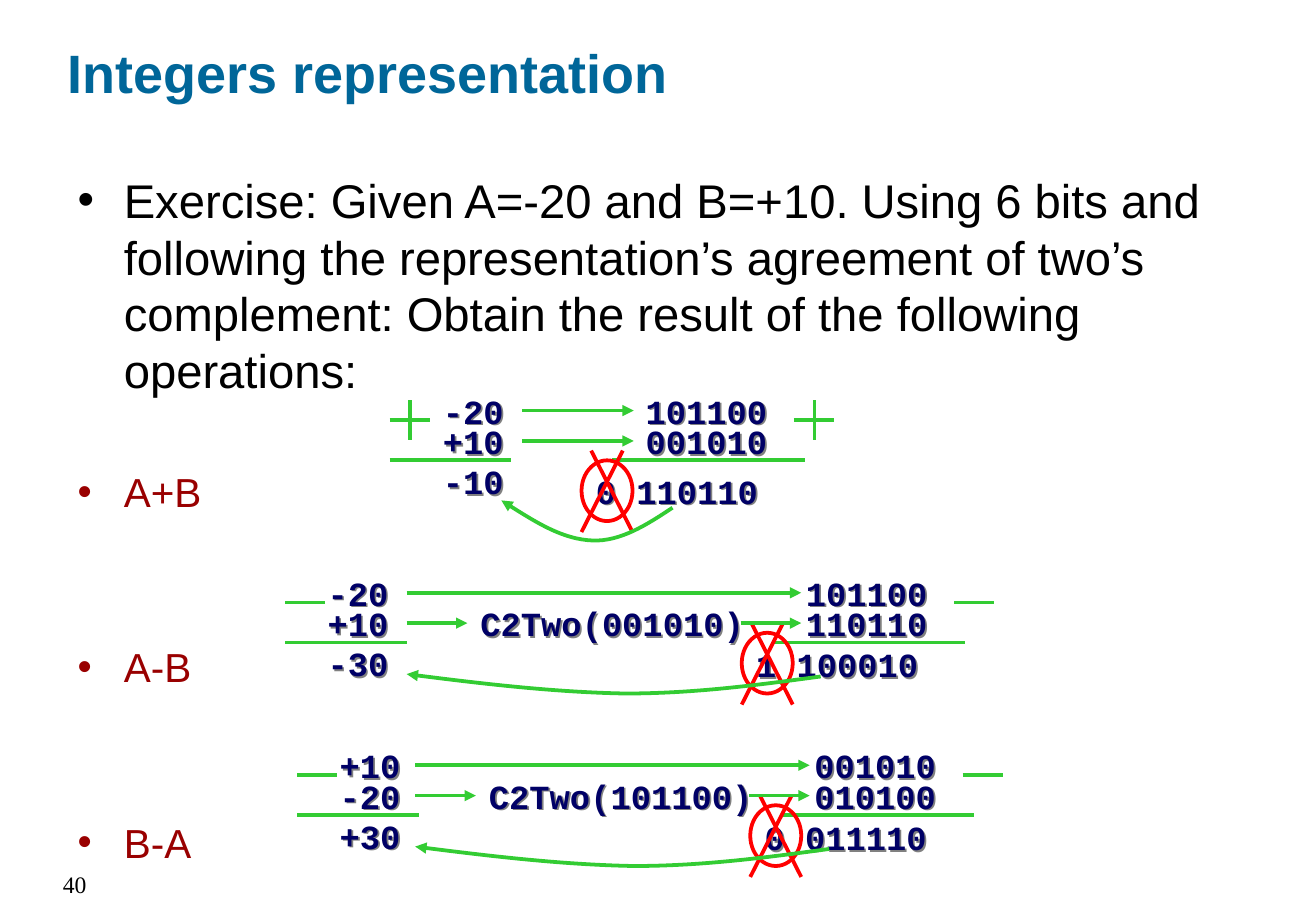
from dataclasses import dataclass

from lxml.etree import SubElement
from pptx import Presentation
from pptx.dml.color import RGBColor
from pptx.enum.shapes import MSO_CONNECTOR, MSO_SHAPE
from pptx.enum.text import MSO_ANCHOR, MSO_AUTO_SIZE, PP_ALIGN
from pptx.oxml.ns import qn
from pptx.util import Inches, Pt


@dataclass(frozen=True)
class Theme:
    """Hold the colours, fonts and sizes of the slide."""
    title: str = "006699"
    black: str = "000000"
    item: str = "990000"
    digit: str = "000066"
    shade: str = "808080"
    green: str = "33CC33"
    red: str = "FF0000"
    sans: str = "Arial"
    mono: str = "Courier New"
    serif: str = "Times New Roman"
    head: int = 32
    lead: int = 28
    list: int = 24
    code: int = 20
    page: int = 14
    line: float = 2.25


THEME = Theme()
SUM_CURVE = [(.32, 1.02), (.11, 1.16), (-.11, 1.3), (-.34, 1.29),
             (-.58, 1.28), (-.84, 1.12), (-1.09, .96)]
LESS_CURVE = [(.22, .91), (-.3, .98), (-.82, 1.05), (-1.39, 1.05),
              (-1.95, 1.04), (-2.57, .97), (-3.19, .89)]


def place(shape, x, y, w, h):
    """Move and size a shape in inches."""
    shape.left, shape.top = Inches(x), Inches(y)
    shape.width, shape.height = Inches(w), Inches(h)


def add_run(para, text, size, font, color, bold=False):
    """Add one formatted run to a paragraph."""
    run = para.add_run()
    run.text = text
    run.font.size, run.font.name, run.font.bold = Pt(size), font, bold
    run.font.color.rgb = RGBColor.from_string(color)


def add_title(slide, text):
    """Fill the title placeholder."""
    title = slide.shapes.title
    place(title, .46, .28, 9.06, .63)
    frame = title.text_frame
    frame.auto_size = MSO_AUTO_SIZE.NONE
    frame.vertical_anchor = MSO_ANCHOR.BOTTOM
    para = frame.paragraphs[0]
    para.alignment = PP_ALIGN.LEFT
    add_run(para, text, THEME.head, THEME.sans, THEME.title, True)


def add_list(slide, items):
    """Fill the body placeholder with bullets."""
    body = slide.placeholders[1]
    place(body, .54, 1.36, 9.6, 6.1)
    frame = body.text_frame
    frame.auto_size = MSO_AUTO_SIZE.NONE
    frame.vertical_anchor = MSO_ANCHOR.TOP
    for i, (text, size, color, gap) in enumerate(items):
        para = frame.add_paragraph() if i else frame.paragraphs[0]
        props = para._p.get_or_add_pPr()
        props.set("marL", str(Inches(.38)))
        props.set("indent", str(-Inches(.38)))
        tint = SubElement(props, qn("a:buClr"))
        SubElement(tint, qn("a:srgbClr"), val=color)
        SubElement(props, qn("a:buFont"), typeface=THEME.sans)
        SubElement(props, qn("a:buChar"), char="•")
        para.space_before, para.line_spacing = Pt(gap), 1.0
        add_run(para, text, size, THEME.sans, color)


def add_page(slide, text):
    """Add the page number."""
    box = slide.shapes.add_textbox(Inches(0), Inches(7.11), Inches(.81), Inches(.39))
    box.text_frame.word_wrap = True
    para = box.text_frame.paragraphs[0]
    para.alignment = PP_ALIGN.RIGHT
    add_run(para, text, THEME.page, THEME.serif, THEME.black)


def add_code(slide, text, x, y):
    """Add a shadowed line of code digits."""
    width = .22 + len(text) / 6
    box = slide.shapes.add_textbox(Inches(x), Inches(y), Inches(width), Inches(.44))
    frame = box.text_frame
    frame.word_wrap = False
    frame.auto_size = MSO_AUTO_SIZE.SHAPE_TO_FIT_TEXT
    frame.vertical_anchor = MSO_ANCHOR.MIDDLE
    add_run(frame.paragraphs[0], text, THEME.code, THEME.mono, THEME.digit, True)
    effects = SubElement(box._element.spPr, qn("a:effectLst"))
    shadow = SubElement(effects, qn("a:outerShdw"), dist=str(Pt(1.4)), dir="2700000")
    SubElement(shadow, qn("a:srgbClr"), val=THEME.shade)
    return box


def draw_line(shape, color, arrow=False):
    """Set the line of a shape, with an arrow at its end if asked."""
    shape.line.width = Pt(THEME.line)
    shape.line.color.rgb = RGBColor.from_string(color)
    if arrow:
        SubElement(shape._element.spPr.find(qn("a:ln")), qn("a:tailEnd"), type="triangle")


def add_line(slide, x1, y1, x2, y2, color=THEME.green, arrow=False):
    """Add a straight line or arrow."""
    line = slide.shapes.add_connector(
        MSO_CONNECTOR.STRAIGHT, Inches(x1), Inches(y1), Inches(x2), Inches(y2))
    draw_line(line, color, arrow)
    SubElement(line._element.spPr, qn("a:effectLst"))
    return line


def add_curve(slide, x, y, points):
    """Add a curved arrow through cubic points set off from x, y."""
    spots = [(Inches(x + dx), Inches(y + dy)) for dx, dy in points]
    pen = slide.shapes.build_freeform(*spots[0])
    pen.add_line_segments(spots[1:], close=False)
    curve = pen.convert_to_shape()
    steps = list(curve._element.iter(qn("a:lnTo")))
    for i in range(0, len(steps), 3):
        bend = SubElement(steps[i].getparent(), qn("a:cubicBezTo"))
        for step in steps[i:i + 3]:
            bend.append(step[0])
            step.getparent().remove(step)
    curve.fill.background()
    curve.shadow.inherit = False
    draw_line(curve, THEME.green, True)


def add_sign(slide, x, y, plus):
    """Add a plus or minus sign made of lines."""
    add_line(slide, x, y, x + .33, y)
    if plus:
        add_line(slide, x + .17, y + .16, x + .17, y - .17)


def add_cross(slide, x, y):
    """Ring a carry bit and cross it out."""
    ring = slide.shapes.add_shape(
        MSO_SHAPE.OVAL, Inches(x), Inches(y), Inches(.42), Inches(.5))
    ring.fill.background()
    ring.shadow.inherit = False
    draw_line(ring, THEME.red)
    for foot, top in ((0, .34), (.42, .08)):
        add_line(slide, x + foot, y + .59, x + top, y - .08, THEME.red)


def add_left(slide, x, y, inset, terms, plus):
    """Add the decimal column with its sign and rule."""
    for text, drop in zip(terms, (0, .25, .58)):
        add_code(slide, text, x + inset, y + drop)
    add_line(slide, x, y + .63, x + 1, y + .63)
    add_sign(slide, x, y + .3, plus)


def add_right(slide, x, y, terms, drop, ring, plus):
    """Add the binary column and return its two term boxes."""
    boxes = [add_code(slide, text, x, y + .25 * i) for i, text in enumerate(terms[:2])]
    add_line(slide, x - .18, y + .63, x + 1.41, y + .63)
    add_sign(slide, x + 1.32, y + .3, plus)
    add_code(slide, terms[2], x - .41, y + drop)
    add_cross(slide, x - .43, y + ring)
    return boxes


def add_sum(slide, left, right, y, tens, bits):
    """Add a worked sum."""
    add_left(slide, left, y, .34, tens, True)
    boxes = add_right(slide, right, y, bits, .66, .63, True)
    for i, box in enumerate(boxes):
        level = y + .22 + .25 * i
        add_line(slide, 4.3, level, right, level, arrow=True).end_connect(box, 1)
    add_curve(slide, right, y, SUM_CURVE)


def add_less(slide, left, right, y, tens, bits, twos):
    """Add a worked difference by two's complement."""
    add_left(slide, left, y, .25, tens, False)
    add_right(slide, right, y, bits, .59, .55, False)
    add_code(slide, twos, right - 2.68, y + .25)
    for start, end, drop in ((-3.19, .06, .22), (-3.19, -2.69, .47), (-.44, .06, .47)):
        add_line(slide, right + start, y + drop, right + end, y + drop, arrow=True)
    add_curve(slide, right, y, LESS_CURVE)


def main():
    """Build and save the slide."""
    deck = Presentation()
    deck.slide_width, deck.slide_height = Inches(10.84), Inches(7.5)
    slide = deck.slides.add_slide(deck.slide_layouts[1])
    add_title(slide, "Integers representation")
    add_list(slide, [
        ("Exercise: Given A=-20 and B=+10. Using 6 bits and following the "
         "representation’s agreement of two’s complement: Obtain the result "
         "of the following operations:", THEME.lead, THEME.black, 0),
        ("A+B", THEME.list, THEME.item, 41),
        ("A-B", THEME.list, THEME.item, 75),
        ("B-A", THEME.list, THEME.item, 75)])
    add_page(slide, "40")
    add_sum(slide, 3.21, 5.22, 3.16, ("-20", "+10", "-10"),
            ("101100", "001010", "0 110110"))
    add_less(slide, 2.35, 6.54, 4.66, ("-20", "+10", "-30"),
             ("101100", "110110", "1 100010"), "C2Two(001010)")
    add_less(slide, 2.45, 6.61, 6.08, ("+10", "-20", "+30"),
             ("001010", "010100", "0 011110"), "C2Two(101100)")
    deck.save("out.pptx")


if __name__ == "__main__":
    main()
